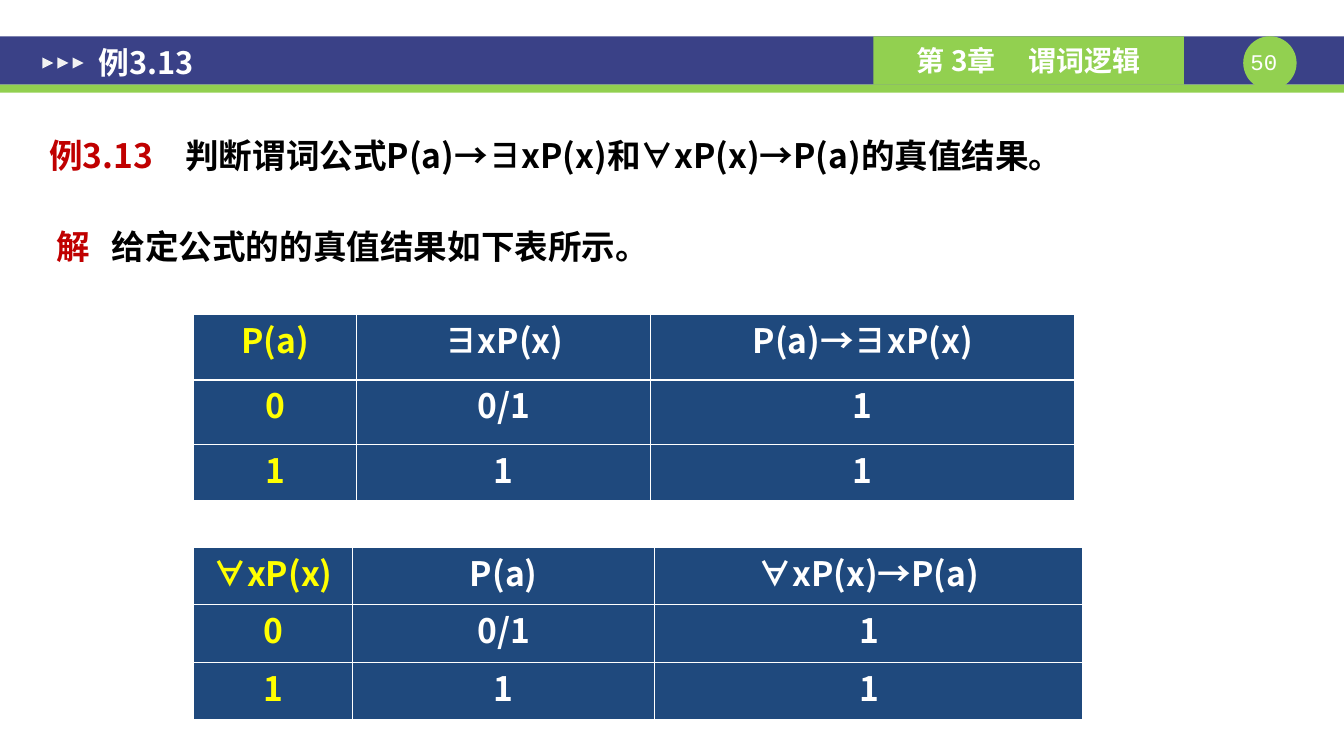
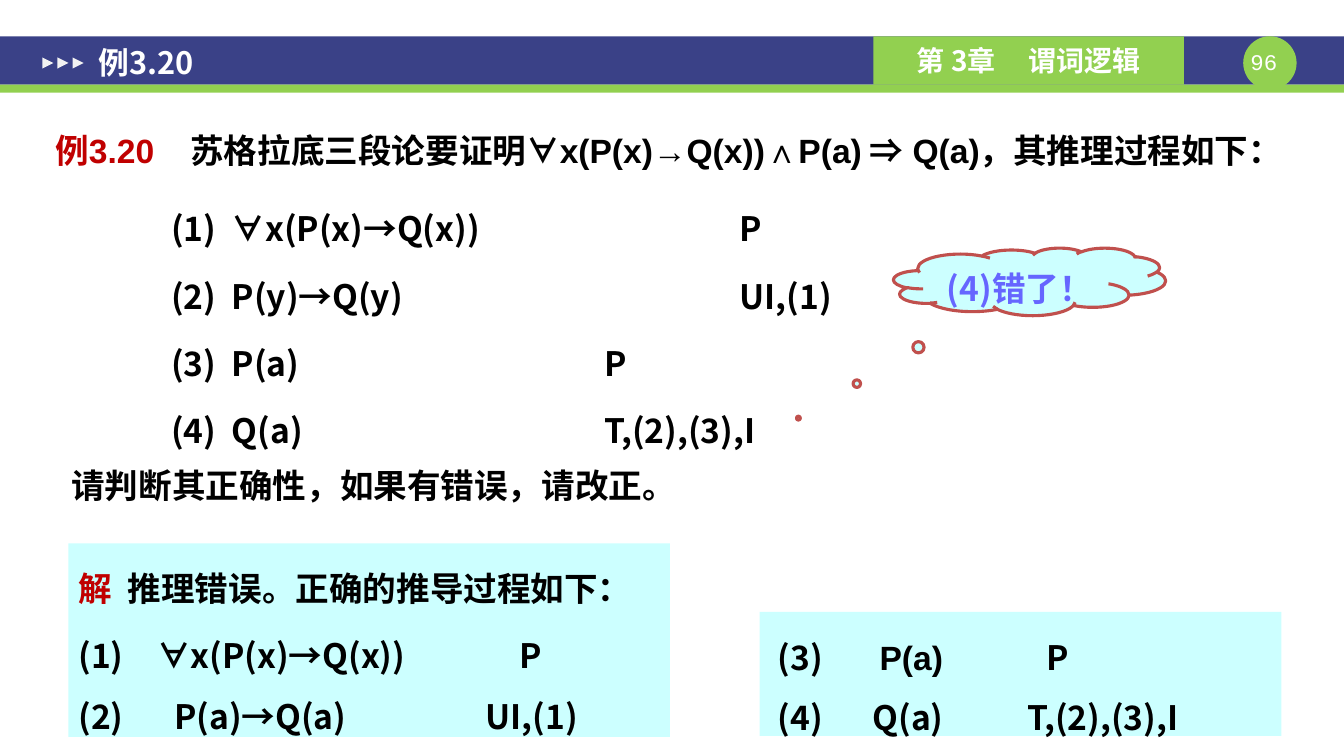
from lxml import etree
from pptx import Presentation
from pptx.dml.color import RGBColor
from pptx.enum.shapes import MSO_SHAPE
from pptx.enum.text import MSO_ANCHOR, PP_ALIGN
from pptx.oxml.ns import qn
from pptx.util import Inches, Pt

RECT, OVAL = MSO_SHAPE.RECTANGLE, MSO_SHAPE.OVAL
ARROW, CLOUD = MSO_SHAPE.ISOSCELES_TRIANGLE, MSO_SHAPE.CLOUD_CALLOUT
TOP, MIDDLE = MSO_ANCHOR.TOP, MSO_ANCHOR.MIDDLE
LEFT, CENTER = PP_ALIGN.LEFT, PP_ALIGN.CENTER

NAVY = RGBColor(0x3A, 0x41, 0x87)
GREEN = RGBColor(0x92, 0xD0, 0x50)
WHITE = RGBColor(0xFF, 0xFF, 0xFF)
PALE = RGBColor(0xF2, 0xF2, 0xF2)
BLACK = RGBColor(0, 0, 0)
RED = RGBColor(0xC0, 0, 0)
BLUE = RGBColor(0x1F, 0x49, 0x7D)
YELLOW = RGBColor(0xFF, 0xFF, 0)
CYAN = RGBColor(0xCC, 0xFF, 0xFF)
BRICK = RGBColor(0xC0, 0x50, 0x4D)
VIOLET = RGBColor(0x66, 0x66, 0xFF)

SANS, ARIAL, MONO = "Noto Sans CJK SC", "Arial", "Courier New"
WIDE, HIGH = 13.34, 7.5
PITCH = 43  # points from line to line

# A line is (tab stops in inches, runs); a run is (text, colour, font).
TASK = [((1.35,), [("例3.13\t", RED, SANS),
                   ("判断谓词公式P(a)→∃xP(x)和∀xP(x)→P(a)的真值结果。", BLACK, SANS)])]
ANSWER = [((0.55,), [("解\t", RED, SANS),
                     ("给定公式的的真值结果如下表所示。", BLACK, SANS)])]

# (top, column widths, row heights, rows)
TABLES = [
    (3.12, (1.62, 2.92, 4.21), (0.65, 0.64, 0.56),
     [("P(a)", "∃xP(x)", "P(a)→∃xP(x)"), ("0", "0/1", "1"), ("1", "1", "1")]),
    (5.43, (1.58, 3, 4.25), (0.57, 0.57, 0.57),
     [("∀xP(x)", "P(a)", "∀xP(x)→P(a)"), ("0", "0/1", "1"), ("1", "1", "1")]),
]

CLAIM = [((1.34,), [("例3.20\t", RED, ARIAL),
                    ("苏格拉底三段论要证明∀x(P(x)→Q(x))∧P(a)", BLACK, ARIAL),
                    (" ⇒", BLACK, SANS),
                    (" Q(a)，其推理过程如下：", BLACK, ARIAL)])]
STEPS = [
    ((0.6, 5.64), [("(1)\t∀x(P(x)→Q(x))\tP", BLACK, SANS)]),
    ((0.6, 5.64), [("(2)\tP(y)→Q(y)\tUI,(1)", BLACK, SANS)]),
    ((0.6, 4.3), [("(3)\tP(a)\tP", BLACK, SANS)]),
    ((0.6, 4.3), [("(4)\tQ(a)\tT,(2),(3),I", BLACK, SANS)]),
]
ASK = [((), [("请判断其正确性，如果有错误，请改正。", BLACK, SANS)])]
CLOUDED = [((), [("(4)错了！", VIOLET, SANS)])]
FIXED = [
    ((0.49,), [("解\t", RED, SANS), ("推理错误。正确的推导过程如下：", BLACK, SANS)]),
    ((4.38,), [("(1)　∀x(P(x)→Q(x))\tP", BLACK, SANS)]),
    ((0.95, 4.04), [("(2)\tP(a)→Q(a)\tUI,(1)", BLACK, SANS)]),
]
REST = [
    ((1.01, 2.67), [("(3)\t", BLACK, SANS), ("P(a)", BLACK, ARIAL), ("\tP", BLACK, SANS)]),
    ((0.94, 2.48), [("(4)\tQ(a)\tT,(2),(3),I", BLACK, SANS)]),
]


def style(run, color, name, size, bold):
    font = run.font
    font.size, font.bold, font.name = Pt(size), bold, name
    font.color.rgb = color
    east = etree.SubElement(run._r.get_or_add_rPr(), qn("a:ea"))
    east.set("typeface", SANS)


def write(shape, lines, size=24, bold=True, align=LEFT, anchor=TOP,
          pad=(0.1, 0.05), pitch=None, gaps=(), wrap=True):
    """Fill a shape with lines; gaps holds the points before each later line."""
    frame = shape.text_frame
    frame.word_wrap, frame.vertical_anchor = wrap, anchor
    frame.margin_left = frame.margin_right = Inches(pad[0])
    frame.margin_top = frame.margin_bottom = Inches(pad[1])
    for i, (stops, runs) in enumerate(lines):
        par = frame.add_paragraph() if i else frame.paragraphs[0]
        if stops:
            tabs = etree.SubElement(par._p.get_or_add_pPr(), qn("a:tabLst"))
            for stop in stops:
                etree.SubElement(tabs, qn("a:tab"), pos=str(Inches(stop)), algn="l")
        par.alignment = align
        if pitch:
            par.line_spacing = Pt(pitch)
        if i and gaps:
            par.space_before = Pt(gaps[i - 1])
        for words, color, name in runs:
            run = par.add_run()
            run.text = words
            style(run, color, name, size, bold)


def place(slide, kind, box, fill):
    shape = slide.shapes.add_shape(kind, *map(Inches, box))
    shape.shadow.inherit = False
    shape.fill.solid()
    shape.fill.fore_color.rgb = fill
    shape.line.fill.background()
    return shape


def label(slide, box, lines, **look):
    write(slide.shapes.add_textbox(*map(Inches, box)), lines, **look)


def frame_slide(deck, title, number):
    """Add a slide with the band, chapter tag, page number and title."""
    slide = deck.slides.add_slide(deck.slide_layouts[6])
    place(slide, RECT, (0, 0.36, WIDE, 0.48), NAVY)
    place(slide, RECT, (0, 0.84, WIDE, 0.08), GREEN)
    place(slide, OVAL, (12.34, 0.36, 0.53, 0.53), GREEN)
    label(slide, (12.28, 0.48, 0.53, 0.27), [((), [(number, WHITE, MONO)])],
          size=16, bold=False, align=CENTER, pad=(0, 0))
    tag = place(slide, RECT, (8.67, 0.36, 3.08, 0.48), GREEN)
    write(tag, [((1.11,), [("第 3章\t谓词逻辑", WHITE, SANS)])],
          size=20, anchor=MIDDLE, pad=(0.43, 0))
    tag.text_frame.margin_right = 0
    for i in range(3):
        place(slide, ARROW, (0.42 + 0.15 * i, 0.57, 0.11, 0.11), PALE).rotation = 90
    label(slide, (0.85, 0.4, 5.8, 0.44), [((), [(title, WHITE, SANS)])],
          size=22, anchor=MIDDLE, pad=(0.13, 0.07))
    return slide


def edge(cell):
    """Draw thin white borders; they come before the fill in the cell."""
    props = cell._tc.get_or_add_tcPr()
    for i, side in enumerate(("lnL", "lnR", "lnT", "lnB")):
        line = etree.Element(qn("a:" + side), w=str(Pt(1)))
        solid = etree.SubElement(line, qn("a:solidFill"))
        etree.SubElement(solid, qn("a:srgbClr"), val=str(WHITE))
        props.insert(i, line)


def grid(slide, top, widths, heights, rows):
    box = (1.92, top, sum(widths), sum(heights))
    table = slide.shapes.add_table(len(rows), len(widths), *map(Inches, box)).table
    for col, width in zip(table.columns, widths):
        col.width = Inches(width)
    for r, (row, height) in enumerate(zip(rows, heights)):
        table.rows[r].height = Inches(height)
        for c, words in enumerate(row):
            cell = table.cell(r, c)
            cell.fill.solid()
            cell.fill.fore_color.rgb = BLUE
            cell.margin_left = cell.margin_right = Inches(0.02)
            cell.margin_top = cell.margin_bottom = 0
            par = cell.text_frame.paragraphs[0]
            par.alignment = CENTER
            run = par.add_run()
            run.text = words
            style(run, WHITE if c else YELLOW, SANS, 24, True)
            edge(cell)


def truth(deck):
    slide = frame_slide(deck, "例3.13", "50")
    label(slide, (0.36, 0.99, 12.58, 0.84), TASK, pad=(0.13, 0.07), pitch=49)
    label(slide, (0.46, 1.99, 12.48, 0.64), ANSWER, pitch=PITCH)
    for table in TABLES:
        grid(slide, *table)


def proof(deck):
    slide = frame_slide(deck, "例3.20", "96")
    label(slide, (0.42, 1.03, 12.8, 0.91), CLAIM, anchor=MIDDLE, pad=(0.13, 0.07))
    label(slide, (1.7, 1.83, 11.12, 2.67), STEPS, pad=(0, 0.04),
          pitch=PITCH, gaps=(5, 5, 5))
    left = place(slide, RECT, (0.68, 5.39, 5.97, 1.92), CYAN)
    write(left, FIXED, pitch=PITCH, gaps=(5, 0))
    cloud = place(slide, CLOUD, (8.87, 2.46, 2.7, 0.67), CYAN)
    cloud.adjustments[0], cloud.adjustments[1] = -0.85, 2.02
    cloud.line.color.rgb, cloud.line.width = BRICK, Pt(2.25)
    write(cloud, CLOUDED, align=CENTER, pad=(0.1, 0.1))
    cloud.text_frame.margin_bottom = 0
    label(slide, (0.61, 4.56, 6.28, 0.5), ASK, anchor=MIDDLE, wrap=False)
    right = place(slide, RECT, (7.54, 6.07, 5.18, 1.23), CYAN)
    write(right, REST, pad=(0.18, 0.05), pitch=PITCH)


def main():
    deck = Presentation()
    deck.slide_width, deck.slide_height = Inches(WIDE), Inches(HIGH)
    truth(deck)
    proof(deck)
    deck.save("out.pptx")


if __name__ == "__main__":
    main()
